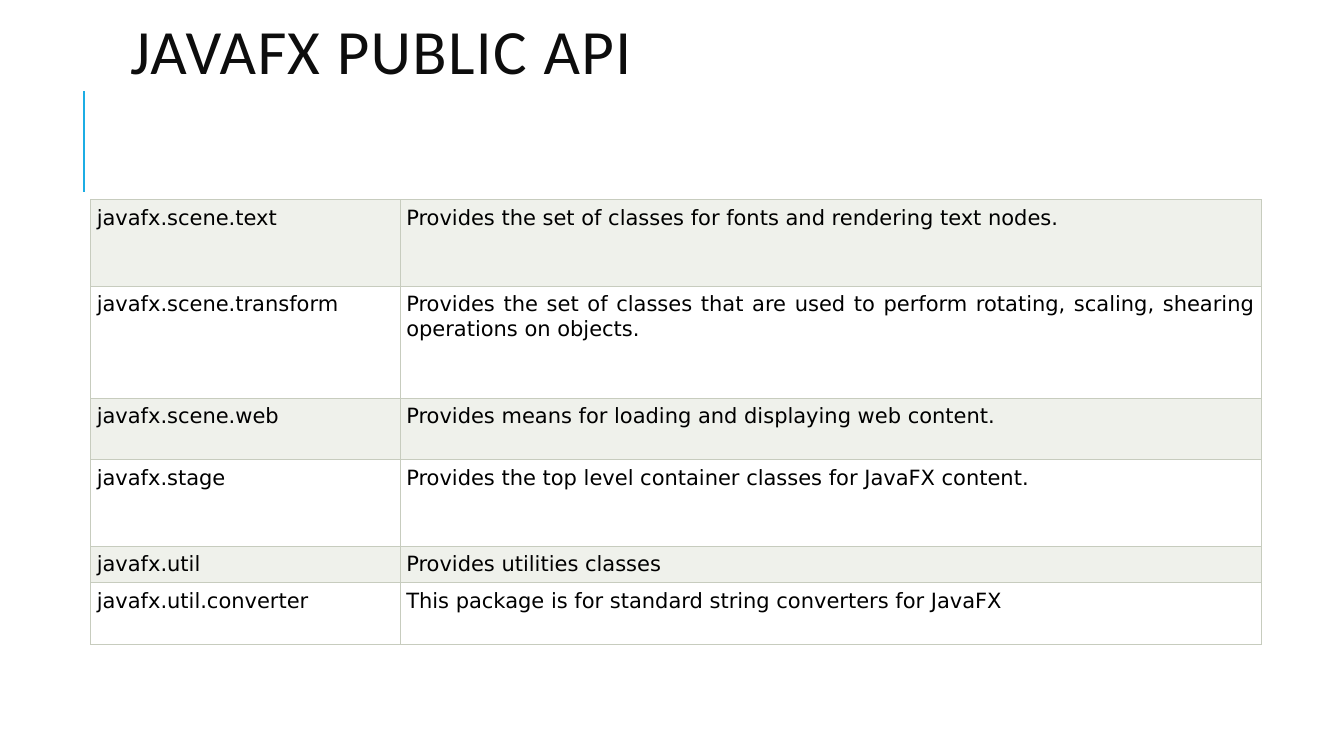
import lxml.etree
import pptx
import pptx.dml.color
import pptx.enum.shapes
import pptx.enum.text
import pptx.oxml.ns
import pptx.util

Inches, Pt = pptx.util.Inches, pptx.util.Pt
qn = pptx.oxml.ns.qn

PACKAGES = [
    ("javafx.scene.text", "Provides the set of classes for fonts and rendering text nodes.", 0.86),
    ("javafx.scene.transform", "Provides the set of classes that are used to perform rotating, "
     "scaling, shearing operations on objects.", 1.11),
    ("javafx.scene.web", "Provides means for loading and displaying web content.", 0.61),
    ("javafx.stage", "Provides the top level container classes for JavaFX content.", 0.86),
    ("javafx.util", "Provides utilities classes", 0.36),
    ("javafx.util.converter", "This package is for standard string converters for JavaFX", 0.61),
]
COLUMN_WIDTHS = (3.07, 8.54)
BAND_FILLS = ("EFF1EB", "FFFFFF")
GRID_COLOR = "C7CCBE"

TITLE_FRAME = {"word_wrap": True, "vertical_anchor": pptx.enum.text.MSO_ANCHOR.TOP,
               "margin_left": Inches(0.1), "margin_right": Inches(0.1),
               "margin_top": 0, "margin_bottom": 0,
               "auto_size": pptx.enum.text.MSO_AUTO_SIZE.NONE}
TITLE_PARAGRAPH = {"alignment": pptx.enum.text.PP_ALIGN.LEFT, "line_spacing": 0.8}
TITLE_FONT = {"name": "Calibri", "size": Pt(45), "bold": False}
CELL_FORMAT = {"vertical_anchor": pptx.enum.text.MSO_ANCHOR.TOP,
               **{f"margin_{side}": Inches(0.06) for side in ("left", "right", "top", "bottom")}}
CELL_FONT = {"name": "DejaVu Sans", "size": Pt(15), "bold": False}


def rgb(hex_color):
    return pptx.dml.color.RGBColor.from_string(hex_color)


def apply_format(target, values):
    for name, value in values.items():
        setattr(target, name, value)


def add_title(slide, left, top, width, height):
    title = slide.shapes.title
    apply_format(title, {"left": Inches(left), "top": Inches(top),
                         "width": Inches(width), "height": Inches(height)})
    apply_format(title.text_frame, TITLE_FRAME)
    paragraph = title.text_frame.paragraphs[0]
    apply_format(paragraph, TITLE_PARAGRAPH)
    heading = paragraph.add_run()
    heading.text = "JAVAFX PUBLIC API"
    apply_format(heading.font, TITLE_FONT)
    heading.font.color.rgb = rgb("0D0D0D")
    heading.font._element.set("spc", "100")


def add_accent_line(slide, left, top, height):
    accent = slide.shapes.add_connector(
        pptx.enum.shapes.MSO_CONNECTOR.STRAIGHT,
        Inches(left), Inches(top + height), Inches(left), Inches(top))
    accent.line.color.rgb = rgb("1CADE4")
    accent.line.width = Pt(1.5)
    lxml.etree.SubElement(accent._element.spPr, qn("a:effectLst"))


def set_cell_borders(cell):
    """Draw all four borders; they must precede the fill in the cell's XML."""
    properties = cell._tc.get_or_add_tcPr()
    for position, side in enumerate(("lnL", "lnR", "lnT", "lnB")):
        border = lxml.etree.Element(qn(f"a:{side}"), w=str(Pt(0.6)))
        fill = lxml.etree.SubElement(border, qn("a:solidFill"))
        lxml.etree.SubElement(fill, qn("a:srgbClr"), val=GRID_COLOR)
        properties.insert(position, border)


def fill_cell(cell, text, fill_color):
    apply_format(cell, CELL_FORMAT)
    cell.fill.solid()
    cell.fill.fore_color.rgb = rgb(fill_color)
    set_cell_borders(cell)
    paragraph = cell.text_frame.paragraphs[0]
    paragraph.alignment = pptx.enum.text.PP_ALIGN.JUSTIFY
    entry = paragraph.add_run()
    entry.text = text
    apply_format(entry.font, CELL_FONT)
    entry.font.color.rgb = rgb("000000")


def add_package_table(slide, left, top, width, height):
    table = slide.shapes.add_table(
        len(PACKAGES), len(COLUMN_WIDTHS),
        Inches(left), Inches(top), Inches(width), Inches(height)).table
    apply_format(table, {"first_row": False, "horz_banding": False})
    for column, share in zip(table.columns, COLUMN_WIDTHS):
        column.width = Inches(width * share / sum(COLUMN_WIDTHS))
    total_height = sum(row_height for *_, row_height in PACKAGES)
    for index, (package, description, row_height) in enumerate(PACKAGES):
        table.rows[index].height = Inches(height * row_height / total_height)
        for column, text in enumerate((package, description)):
            fill_cell(table.cell(index, column), text, BAND_FILLS[index % 2])


def main():
    presentation = pptx.Presentation()
    presentation.slide_width = Inches(13.33)
    presentation.slide_height = Inches(7.5)
    slide = presentation.slides.add_slide(presentation.slide_layouts[5])
    add_accent_line(slide, 0.83, 0.9, 1)
    add_title(slide, 1.19, 0.26, 10.63, 1.18)
    add_package_table(slide, 0.9, 1.98, 11.61, 4.41)
    presentation.save("out.pptx")


if __name__ == "__main__":
    main()
